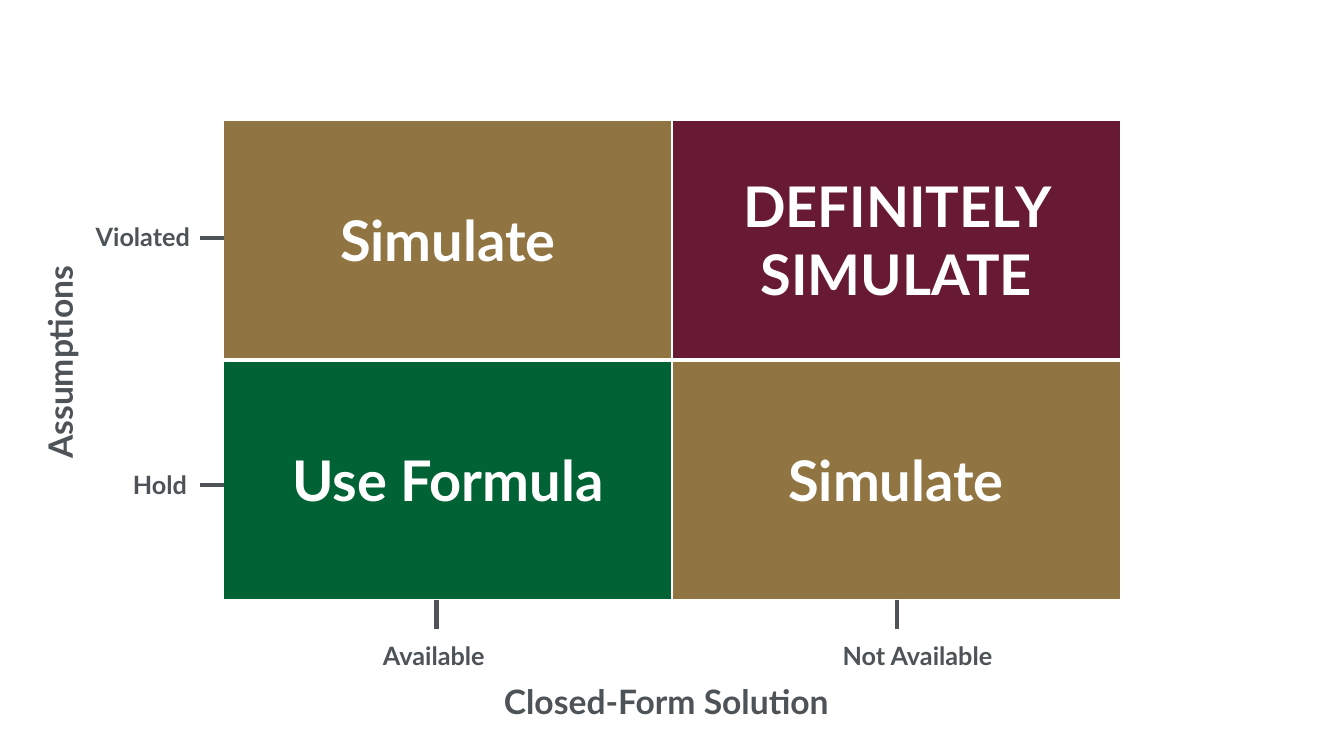
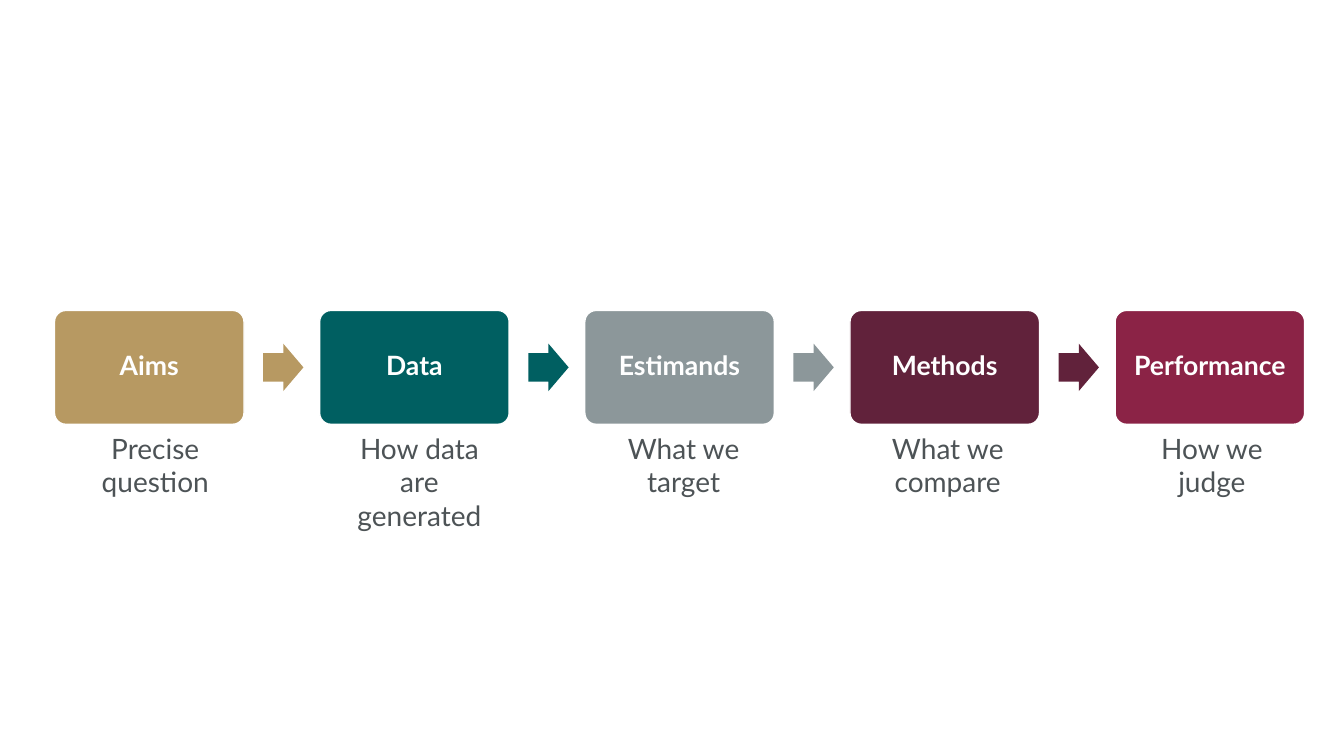
from lxml.etree import SubElement
from pptx import Presentation
from pptx.dml.color import RGBColor
from pptx.enum.shapes import MSO_CONNECTOR, MSO_SHAPE
from pptx.enum.text import MSO_ANCHOR, PP_ALIGN
from pptx.oxml.ns import qn
from pptx.util import Inches, Pt

COLORS = {
    "white": "FFFFFF",
    "text": "4D5356",
    "bronze": "907542",
    "garnet": "681A34",
    "green": "006235",
    "gold": "B79962",
    "teal": "005F61",
    "grey": "8C979A",
    "plum": "61223B",
    "crimson": "8B2346",
}


def rgb(name):
    return RGBColor.from_string(COLORS[name])


class Deck:
    font = "Lato"

    def __init__(self):
        self.prs = Presentation()
        self.prs.slide_width = Inches(13.33)
        self.prs.slide_height = Inches(7.5)
        self.s = None

    def new_slide(self):
        self.s = self.prs.slides.add_slide(self.prs.slide_layouts[6])

    def add_text(self, tf, text, size, color, bold, align):
        p = tf.paragraphs[0]
        p.alignment = align
        r = p.add_run()
        r.text = text
        r.font.name = self.font
        r.font.size = Pt(size)
        r.font.bold = bold
        r.font.color.rgb = rgb(color)

    def label(self, text, x, y, w, h, size, bold=True, align=PP_ALIGN.LEFT, rotation=0):
        sp = self.s.shapes.add_textbox(Inches(x), Inches(y), Inches(w), Inches(h))
        sp.rotation = rotation
        sp.text_frame.word_wrap = True
        self.add_text(sp.text_frame, text, size, "text", bold, align)

    def shape(self, kind, x, y, w, h, fill, adjustments):
        sp = self.s.shapes.add_shape(kind, Inches(x), Inches(y), Inches(w), Inches(h))
        sp.shadow.inherit = False
        sp.fill.solid()
        sp.fill.fore_color.rgb = rgb(fill)
        sp.line.fill.background()
        for i, value in enumerate(adjustments):
            sp.adjustments[i] = value
        return sp

    def box(self, text, x, y, w, h, fill):
        sp = self.shape(MSO_SHAPE.ROUNDED_RECTANGLE, x, y, w, h, fill, [0.1])
        sp.line.color.rgb = rgb("white")
        sp.line.width = Pt(1)
        tf = sp.text_frame
        tf.word_wrap = True
        tf.vertical_anchor = MSO_ANCHOR.MIDDLE
        tf.margin_left = tf.margin_right = Inches(0.08)
        tf.paragraphs[0].line_spacing = 0.9
        self.add_text(tf, text, 19, "white", True, PP_ALIGN.CENTER)

    def arrow(self, x, y, w, h, fill):
        self.shape(MSO_SHAPE.RIGHT_ARROW, x, y, w, h, fill, [0.6, 0.5])

    def tick(self, x1, y1, x2, y2):
        line = self.s.shapes.add_connector(
            MSO_CONNECTOR.STRAIGHT, Inches(x1), Inches(y1), Inches(x2), Inches(y2))
        line.line.color.rgb = rgb("text")
        line.line.width = Pt(3)
        SubElement(line._element.spPr, qn("a:effectLst"))

    def borders(self, cell, widths):
        tc_pr = cell._tc.get_or_add_tcPr()
        for side, width in zip("LRTB", widths):
            ln = SubElement(tc_pr, qn(f"a:ln{side}"), w=str(Pt(width)))
            fill = SubElement(ln, qn("a:solidFill"))
            SubElement(fill, qn("a:srgbClr"), val=COLORS["white"])

    def matrix(self, rows, x, y, w, h):
        frame = self.s.shapes.add_table(
            len(rows), len(rows[0]), Inches(x), Inches(y), Inches(w), Inches(h))
        table = frame.table
        table.first_row = table.horz_banding = False
        for i, row in enumerate(rows):
            table.rows[i].height = Inches(h / len(rows))
            for j, (text, fill) in enumerate(row):
                cell = table.cell(i, j)
                top = 3 if i > 0 else 1
                bottom = 3 if i < len(rows) - 1 else 1
                self.borders(cell, (1, 1, top, bottom))
                cell.fill.solid()
                cell.fill.fore_color.rgb = rgb(fill)
                cell.vertical_anchor = MSO_ANCHOR.MIDDLE
                self.add_text(cell.text_frame, text, 40, "white", True, PP_ALIGN.CENTER)


def decision_slide(deck):
    deck.new_slide()
    left, top, width, height = 2.22, 1.19, 8.89, 4.76
    bottom = top + height
    deck.matrix([
        [("Simulate", "bronze"), ("DEFINITELY SIMULATE", "garnet")],
        [("Use Formula", "green"), ("Simulate", "bronze")],
    ], left, top, width, height)
    deck.label("Closed-Form Solution", 4.9, 6.71, 3.54, 0.5, 24)
    deck.label("Assumptions", -0.49, 3.32, 2.16, 0.5, 24, rotation=270)
    for text, x, y, w, tick_y in [("Violated", 0.85, 2.15, 1.25, 2.36),
                                  ("Hold", 1.22, 4.61, 0.76, 4.81)]:
        deck.tick(left, tick_y, left - 0.24, tick_y)
        deck.label(text, x, y, w, 0.4, 18)
    for text, x, w, tick_x in [("Available", 3.7, 1.27, 4.33),
                               ("Not Available", 8.26, 1.77, 8.9)]:
        deck.tick(tick_x, bottom, tick_x, bottom + 0.29)
        deck.label(text, x, 6.3, w, 0.4, 18)


def process_slide(deck):
    deck.new_slide()
    steps = [
        ("Aims", "Precise question", "gold"),
        ("Data", "How data are generated", "teal"),
        ("Estimands", "What we target", "grey"),
        ("Methods", "What we compare", "plum"),
        ("Performance", "How we judge", "crimson"),
    ]
    for i, (name, caption, color) in enumerate(steps):
        x = 0.54 + 2.63 * i
        deck.box(name, x, 3.08, 1.88, 1.13, color)
        if i < len(steps) - 1:
            deck.arrow(x + 2.07, 3.41, 0.4, 0.47, color)
        deck.label(caption, 0.75 + 2.62 * i, 4.23, 1.58, 0.77, 20,
                   bold=False, align=PP_ALIGN.CENTER)


def main():
    deck = Deck()
    decision_slide(deck)
    process_slide(deck)
    deck.prs.save("out.pptx")


if __name__ == "__main__":
    main()
